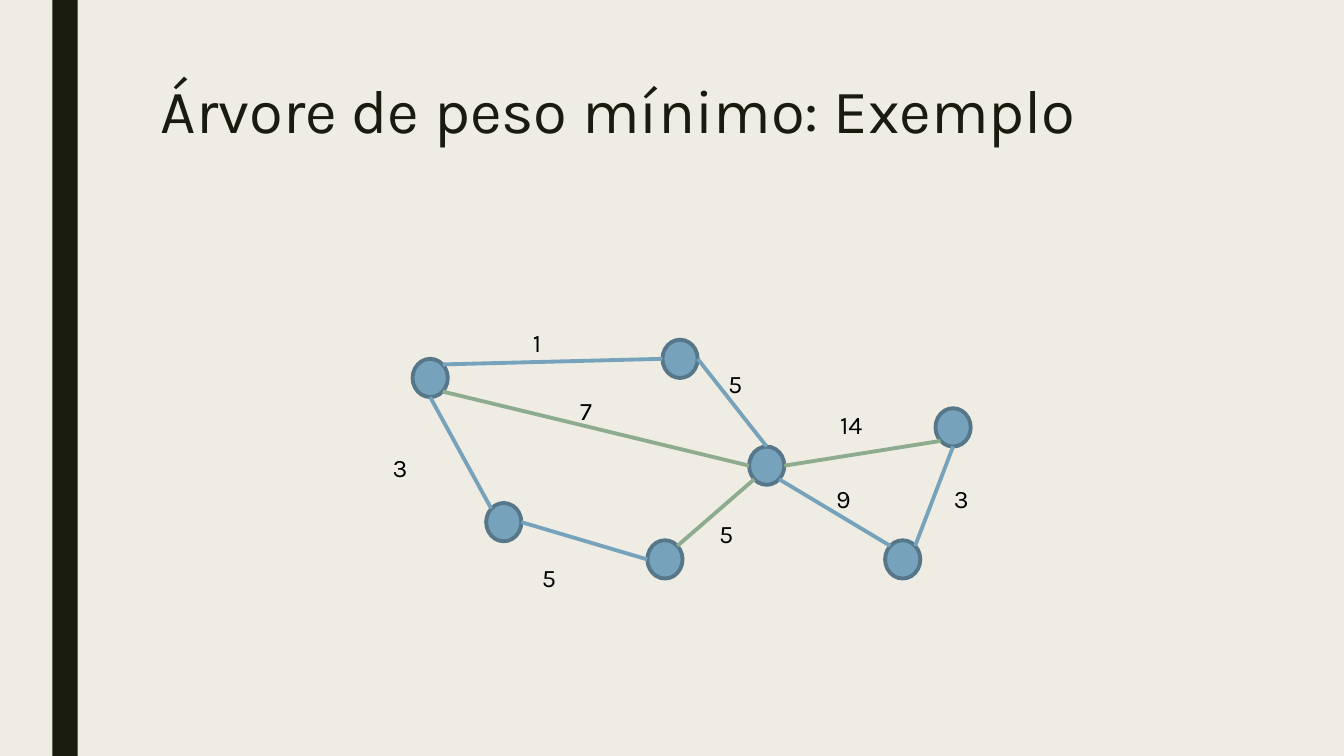
from dataclasses import dataclass
from math import cos, radians, sin

from lxml import etree
from pptx import Presentation
from pptx.dml.color import RGBColor
from pptx.enum.shapes import MSO_CONNECTOR, MSO_SHAPE
from pptx.oxml.ns import qn
from pptx.util import Inches, Pt

# Content
TITLE = "Árvore de peso mínimo: Exemplo"

# Vertex: centre in inches
VERTICES = {
    "A": (4.27, 3.75),
    "B": (5.0, 5.18),
    "C": (6.75, 3.56),
    "D": (6.6, 5.55),
    "E": (7.61, 4.62),
    "F": (8.96, 5.55),
    "G": (9.46, 4.24),
}

# Edge: start vertex and side, end vertex and side, in the tree, weight, label corner
EDGES = [
    ("A", "NE", "C", "W", True, "1", (5.19, 3.2)),
    ("B", "E", "D", "W", True, "5", (5.28, 5.53)),
    ("A", "S", "B", "NW", True, "3", (3.8, 4.44)),
    ("E", "E", "G", "SW", False, "14", (8.24, 4.01)),
    ("E", "SE", "F", "NW", True, "9", (8.2, 4.75)),
    ("A", "SE", "E", "W", False, "7", (5.66, 3.87)),
    ("C", "E", "E", "N", True, "5", (7.13, 3.61)),
    ("G", "S", "F", "NE", True, "3", (9.37, 4.75)),
    ("D", "NE", "E", "SW", False, "5", (7.04, 5.09)),
]

SIDES = ("E", "SE", "S", "SW", "W", "NW", "N", "NE")  # clockwise, 45° apart
VERTEX_W, VERTEX_H = 0.35, 0.38
LABEL_W, LABEL_H = 0.86, 0.4


@dataclass(frozen=True)
class Theme:
    font: str = "Karla"
    title_size: int = 44
    weight_size: int = 18
    line_width: float = 2.75
    background: str = "EFEDE3"
    dark: str = "191B0E"
    vertex: str = "77A2BB"
    outline: str = "567689"
    tree_edge: str = "77A2BB"
    other_edge: str = "8DAB8E"
    weight: str = "000000"


theme = Theme()


def color(value):
    return RGBColor.from_string(value)


def add_filled(slide, kind, left, top, width, height, fill):
    shape = slide.shapes.add_shape(
        kind, Inches(left), Inches(top), Inches(width), Inches(height))
    shape.shadow.inherit = False
    shape.fill.solid()
    shape.fill.fore_color.rgb = color(fill)
    return shape


def add_text(slide, text, left, top, width, height, size, ink):
    frame = slide.shapes.add_textbox(
        Inches(left), Inches(top), Inches(width), Inches(height)).text_frame
    frame.word_wrap = True
    frame.text = text
    paragraph = frame.paragraphs[0]
    font = paragraph.runs[0].font
    font.name, font.size = theme.font, Pt(size)
    font.color.rgb = color(ink)
    return paragraph


def rim_point(vertex, side):
    x, y = VERTICES[vertex]
    angle = radians(45 * SIDES.index(side))
    return (Inches(x + VERTEX_W / 2 * cos(angle)),
            Inches(y + VERTEX_H / 2 * sin(angle)))


def add_edge(slide, start, end, ink):
    edge = slide.shapes.add_connector(MSO_CONNECTOR.STRAIGHT, *start, *end)
    edge.line.color.rgb = color(ink)
    edge.line.width = Pt(theme.line_width)
    etree.SubElement(edge._element.spPr, qn("a:effectLst"))


def main():
    prs = Presentation()
    prs.slide_width, prs.slide_height = Inches(13.34), Inches(7.5)
    slide = prs.slides.add_slide(prs.slide_layouts[6])
    slide.background.fill.solid()
    slide.background.fill.fore_color.rgb = color(theme.background)

    # Side bar and title
    bar = add_filled(slide, MSO_SHAPE.RECTANGLE, 0.52, 0, 0.25, 7.5, theme.dark)
    bar.line.fill.background()
    title = add_text(slide, TITLE, 1.5, 0.75, 10.5, 1.63, theme.title_size, theme.dark)
    title.line_spacing = 0.89

    # Vertices
    for x, y in VERTICES.values():
        vertex = add_filled(slide, MSO_SHAPE.OVAL, x - VERTEX_W / 2, y - VERTEX_H / 2,
                            VERTEX_W, VERTEX_H, theme.vertex)
        vertex.line.color.rgb = color(theme.outline)
        vertex.line.width = Pt(theme.line_width)

    # Edges with their weights
    for start, start_side, end, end_side, in_tree, weight, corner in EDGES:
        add_edge(slide, rim_point(start, start_side), rim_point(end, end_side),
                 theme.tree_edge if in_tree else theme.other_edge)
        add_text(slide, weight, *corner, LABEL_W, LABEL_H,
                 theme.weight_size, theme.weight)

    prs.save("out.pptx")


if __name__ == "__main__":
    main()
